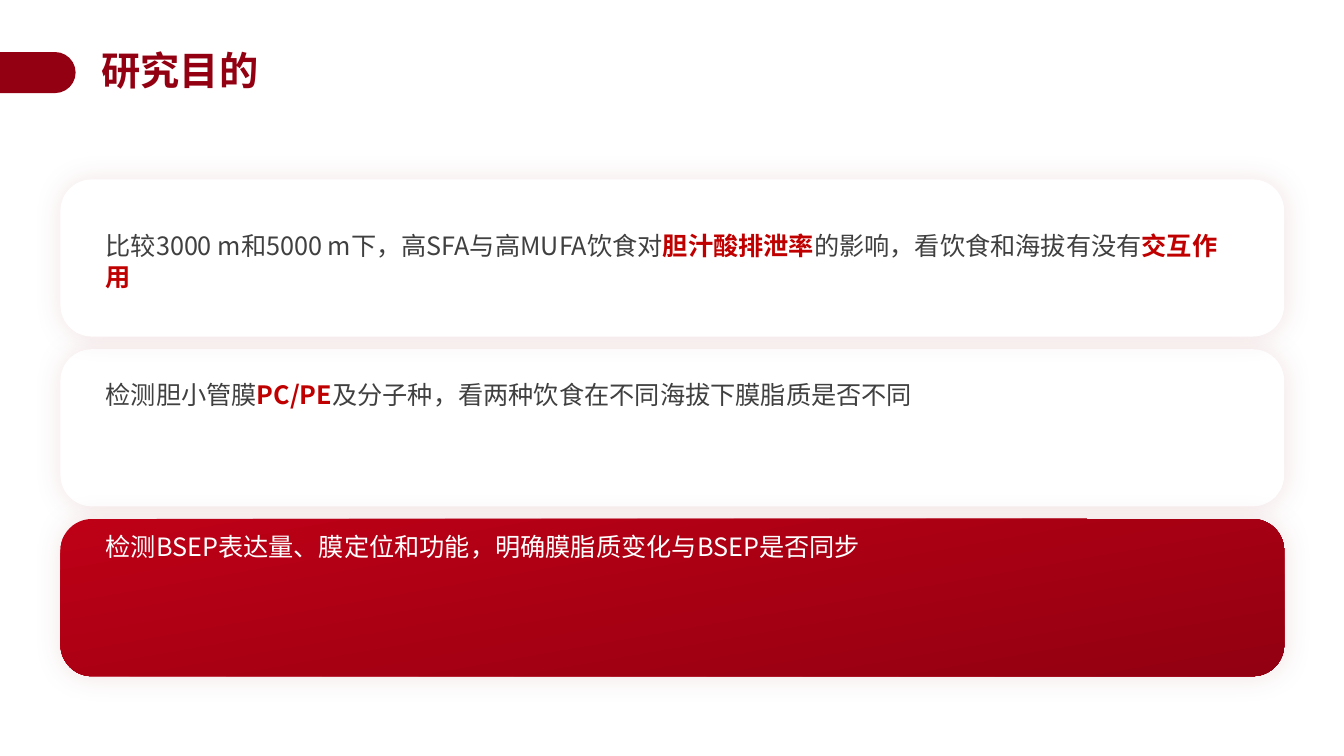
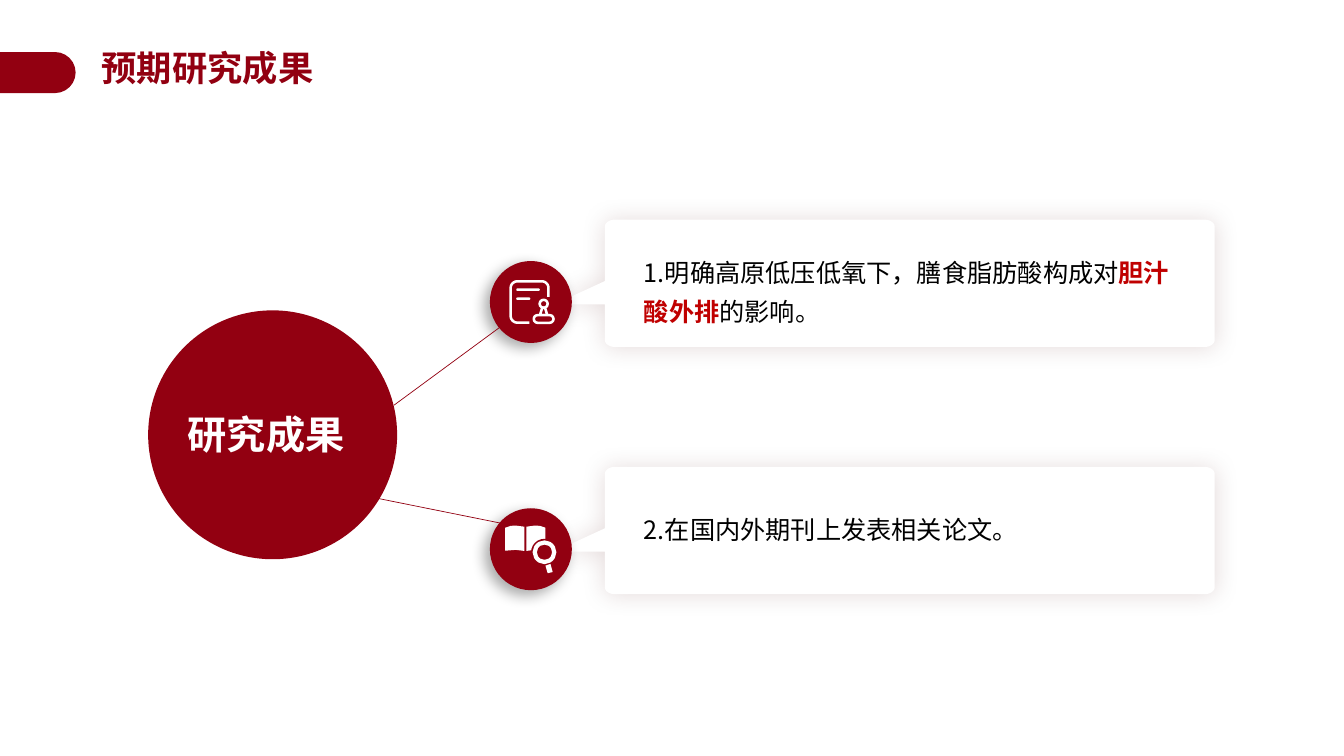
from dataclasses import dataclass
from math import cos, radians, sin
from typing import Callable, NamedTuple, Optional

from lxml.etree import SubElement
from pptx import Presentation
from pptx.dml.color import RGBColor
from pptx.enum.shapes import MSO_CONNECTOR as Conn, MSO_SHAPE as Shp
from pptx.enum.text import MSO_AUTO_SIZE as Auto, PP_ALIGN as Align
from pptx.oxml.ns import qn
from pptx.util import Inches, Pt

W, H = Inches(13.33), Inches(7.5)
COLS = 80
CELL = W / COLS

Point = tuple[float, float]


@dataclass(frozen=True)
class Theme:
    font: str = "Noto Sans CJK SC"
    red: str = "920011"
    bright: str = "BE0016"
    accent: str = "C00000"
    grey: str = "404040"
    black: str = "000000"
    white: str = "FFFFFF"
    wine: str = "490008"
    title: float = 28
    title_small: float = 25.2
    body: float = 18
    hairline: float = 0.5
    stroke: float = 1.8
    ring: float = 3


T = Theme()


class Box(NamedTuple):
    x: float
    y: float
    w: float
    h: float


class Shadow(NamedTuple):
    color: str
    alpha: int
    blur: float
    dist: float = 0
    angle: int = 0


class Seg(NamedTuple):
    text: str
    color: str
    bold: bool = False


@dataclass(frozen=True)
class Card:
    row: int
    text_top: float
    text_height: float
    segs: tuple[Seg, ...]
    align: Optional[Align] = None
    gradient: bool = False


@dataclass(frozen=True)
class Result:
    top: float
    text_top: float
    text_height: float
    icon: Callable
    segs: tuple[Seg, ...]


CARD_SHADOW = Shadow(T.red, 10, 20)
CALLOUT_SHADOW = Shadow(T.wine, 15, 17)
DISC_SHADOW = Shadow(T.black, 33, 10, 5, 135)


def u(n: float) -> int:
    return round(n * CELL)


def rgb(color: str) -> RGBColor:
    return RGBColor.from_string(color)


def arc(cx: float, cy: float, rx: float, ry: float, start: int, end: int) -> list[Point]:
    steps = 12
    angles = (radians(start + (end - start) * i / steps) for i in range(steps + 1))
    return [(cx + rx * cos(a), cy + ry * sin(a)) for a in angles]


def paint(s, fill: Optional[str] = None, line: Optional[str] = None,
          width: float = T.stroke, shadow: Optional[Shadow] = None):
    s.shadow.inherit = False
    if fill:
        s.fill.solid()
        s.fill.fore_color.rgb = rgb(fill)
    else:
        s.fill.background()
    if line:
        s.line.color.rgb = rgb(line)
        s.line.width = Pt(width)
    else:
        s.line.fill.background()
    if shadow:
        effects = s._element.spPr.find(qn("a:effectLst"))
        outer = SubElement(effects, qn("a:outerShdw"), blurRad=str(Pt(shadow.blur)),
                           dist=str(Pt(shadow.dist)), dir=str(shadow.angle * 60000),
                           algn="ctr", rotWithShape="0")
        color = SubElement(outer, qn("a:srgbClr"), val=shadow.color)
        SubElement(color, qn("a:alpha"), val=str(shadow.alpha * 1000))
    return s


def preset(slide, kind: Shp, box: Box, adj: Optional[float] = None, **look):
    s = slide.shapes.add_shape(kind, *map(u, box))
    if adj is not None:
        s.adjustments[0] = adj
    return paint(s, **look)


def outline(slide, points: list[Point], close: bool = True, **look):
    first, *rest = [(u(x), u(y)) for x, y in points]
    builder = slide.shapes.build_freeform(*first)
    builder.add_line_segments(rest, close=close)
    return paint(builder.convert_to_shape(), **look)


def circle(slide, center: Point, radius: float, **look):
    cx, cy = center
    box = Box(cx - radius, cy - radius, 2 * radius, 2 * radius)
    return preset(slide, Shp.OVAL, box, **look)


def line(slide, start: Point, end: Point) -> None:
    c = slide.shapes.add_connector(Conn.STRAIGHT, *map(u, start + end))
    c.line.color.rgb = rgb(T.red)
    c.line.width = Pt(T.hairline)
    SubElement(c._element.spPr, qn("a:effectLst"))


def text(slide, box: Box, segs: tuple[Seg, ...], size: float = T.body,
         wrap: bool = True, grow: bool = True, **paragraph) -> None:
    tf = slide.shapes.add_textbox(*map(u, box)).text_frame
    tf.word_wrap = wrap
    tf.auto_size = Auto.SHAPE_TO_FIT_TEXT if grow else Auto.NONE
    p = tf.paragraphs[0]
    for name, value in paragraph.items():
        setattr(p, name, value)
    for seg in segs:
        r = p.add_run()
        r.text = seg.text
        fmt = {"name": T.font, "size": Pt(size), "bold": seg.bold}
        for name, value in fmt.items():
            setattr(r.font, name, value)
        r.font.color.rgb = rgb(seg.color)
        SubElement(r._r.get_or_add_rPr(), qn("a:ea"), typeface=T.font)


def titled_slide(prs, title: str, size: float):
    slide = prs.slides.add_slide(prs.slide_layouts[6])
    top, width, height = 3.1, 4.5, 2.44
    radius = height / 2
    cap = arc(width - radius, top + radius, radius, radius, -90, 90)
    outline(slide, [(0, top), *cap, (0, top + height)], fill=T.red)
    text(slide, Box(5.46, 2.76, 32, 3.18), (Seg(title, T.red, True),), size,
         grow=False, line_spacing=0.9)
    return slide


def draw_card(slide, card: Card) -> None:
    first, last = 10.68, 30.9
    top = first + card.row * (last - first) / 2
    s = preset(slide, Shp.ROUNDED_RECTANGLE, Box(3.6, top, 72.84, 9.36), 0.2,
               fill=T.white, shadow=CARD_SHADOW)
    if card.gradient:
        s.fill.gradient()
        s.fill.gradient_angle = 280
        for stop, color in zip(s.fill.gradient_stops, (T.bright, T.red)):
            stop.color.rgb = rgb(color)
    text(slide, Box(5.7, card.text_top, 68.4, card.text_height), card.segs,
         alignment=card.align)


def shifted(center: Point, points: list[Point]) -> list[Point]:
    return [(center[0] + x, center[1] + y) for x, y in points]


def document_icon(slide, center: Point) -> None:
    cx, cy = center
    stroke = {"line": T.white, "width": T.stroke}
    left, right, half, r = -1.2, 1.05, 1.23, 0.4
    page = [(-0.09, half), *arc(left + r, half - r, r, r, 90, 180),
            *arc(left + r, r - half, r, r, 180, 270),
            *arc(right - r, r - half, r, r, 270, 360), (right, -0.3)]
    outline(slide, shifted(center, page), close=False, **stroke)
    for y, w in ((-0.81, 1.4), (-0.27, 0.84)):
        preset(slide, Shp.ROUNDED_RECTANGLE, Box(cx - 0.87, cy + y, w, 0.15), 0.5,
               fill=T.white)
    circle(slide, (cx + 0.76, cy + 0.11), 0.24, **stroke)
    neck = [(0.68, 0.34), (0.84, 0.34), (0.98, 0.78), (0.54, 0.78)]
    outline(slide, shifted(center, neck), **stroke)
    preset(slide, Shp.ROUNDED_RECTANGLE, Box(cx + 0.17, cy + 0.78, 1.18, 0.46), 0.5,
           fill=T.red, **stroke)


def book_icon(slide, center: Point) -> None:
    spine = -0.33
    page = [(-1.53, -1.28), (-1.2, -1.39), (-0.9, -1.41), (-0.39, -1.34),
            (-0.39, 0.1), (-0.9, 0.04), (-1.53, 0.09)]
    facing = [(2 * spine - x, y) for x, y in page]
    for points in (page, facing):
        outline(slide, shifted(center, points), fill=T.white)
    lens = (center[0] + 0.81, center[1] + 0.18)
    circle(slide, lens, 0.8, fill=T.red)
    circle(slide, lens, 0.58, line=T.white, width=T.ring)
    handle = [(0.87, 0.98), (1.17, 0.87), (1.3, 1.36), (1, 1.43)]
    outline(slide, shifted(center, handle), fill=T.white)


def draw_callout(slide, top: float) -> None:
    left, right, bottom = 36, 72.3, top + 7.58
    rx, ry = 0.6, 0.42
    points = [
        *arc(right - rx, top + ry, rx, ry, -90, 0),
        *arc(right - rx, bottom - ry, rx, ry, 0, 90),
        *arc(left + rx, bottom - ry, rx, ry, 90, 180),
        (left, top + 5.04), (33, top + 5.04), (left, top + 3.66),
        *arc(left + rx, top + ry, rx, ry, 180, 270),
    ]
    outline(slide, points, fill=T.white, shadow=CALLOUT_SHADOW)


def draw_result(slide, result: Result) -> None:
    draw_callout(slide, result.top)
    center = (31.6, result.top + 4.9)
    circle(slide, center, 2.44, fill=T.red, shadow=DISC_SHADOW)
    result.icon(slide, center)
    text(slide, Box(37.74, result.text_top, 32.88, result.text_height), result.segs,
         line_spacing=1.3)


CARDS = (
    Card(1, 22.26, 6.24, (
        Seg("检测胆小管膜", T.grey), Seg("PC/PE", T.accent, True),
        Seg("及分子种，看两种饮食在不同海拔下膜脂质是否不同", T.grey))),
    Card(0, 13.44, 3.42, (
        Seg("比较3000 m和5000 m下，高SFA与高MUFA饮食对", T.grey),
        Seg("胆汁酸排泄率", T.accent, True),
        Seg("的影响，看饮食和海拔有没有", T.grey),
        Seg("交互作用", T.accent, True))),
    Card(2, 31.32, 9.06, (
        Seg("检测BSEP表达量、膜定位和功能，明确膜脂质变化与BSEP是否同步", T.white),),
        Align.JUSTIFY, True),
)

RESULTS = (
    Result(13.08, 14.46, 5.34, document_icon, (
        Seg("1.明确高原低压低氧下，膳食脂肪酸构成对", T.black),
        Seg("胆汁酸外排", T.accent, True), Seg("的影响。", T.black))),
    Result(27.8, 29.76, 2.94, book_icon, (
        Seg("2.在国内外期刊上发表相关论文。", T.black),)),
)

SPOKES = (((23.46, 24.12), (30.06, 19.26)), ((22.32, 29.64), (30.06, 31.2)))


def main() -> None:
    prs = Presentation()
    prs.slide_width, prs.slide_height = W, H

    aims = titled_slide(prs, "研究目的", T.title)
    for card in CARDS:
        draw_card(aims, card)

    outcomes = titled_slide(prs, "预期研究成果", T.title_small)
    for result in RESULTS:
        draw_result(outcomes, result)
    circle(outcomes, (16.23, 25.89), 7.41, fill=T.red)
    for start, end in SPOKES:
        line(outcomes, start, end)
    text(outcomes, Box(10.56, 24.12, 10.56, 3.42), (Seg("研究成果", T.white, True),),
         T.title, wrap=False, alignment=Align.CENTER)

    prs.save("out.pptx")


if __name__ == "__main__":
    main()
